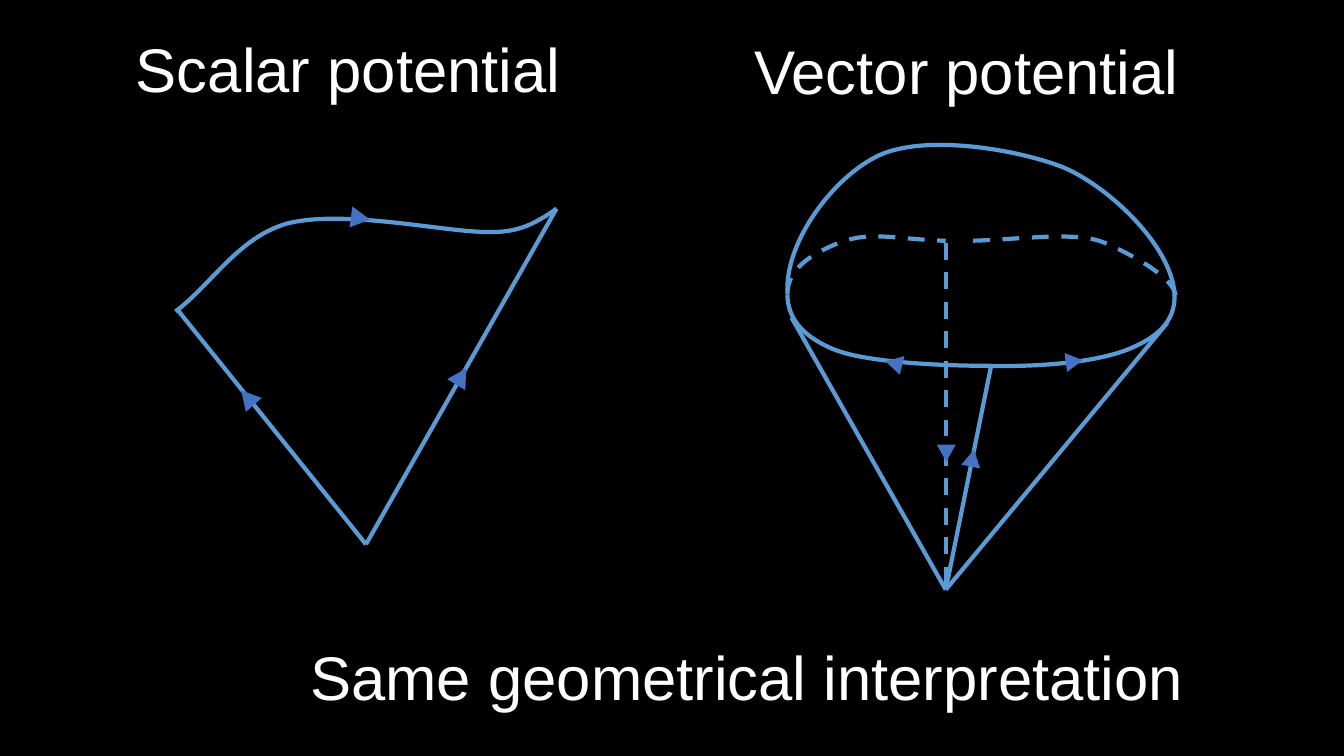
from dataclasses import dataclass

from lxml import etree
from pptx import Presentation
from pptx import util as u
from pptx.dml.color import RGBColor
from pptx.enum import dml, shapes, text
from pptx.oxml import ns
from pptx.shapes.group import GroupShape
from pptx.slide import Slide

BLACK = RGBColor(0x00, 0x00, 0x00)
WHITE = RGBColor(0xFF, 0xFF, 0xFF)
SKY = RGBColor(0x5B, 0x9B, 0xD5)
BLUE = RGBColor(0x44, 0x72, 0xC4)

Point = tuple[float, float]
Box = tuple[float, float, float, float]


@dataclass(frozen=True)
class Edge:
    start: Point
    end: Point
    dashed: bool = False


@dataclass(frozen=True)
class Curve:
    box: Box
    points: tuple[Point, ...]
    dashed: bool = False


@dataclass(frozen=True)
class Arrow:
    box: Box
    rotation: float


@dataclass(frozen=True)
class Label:
    box: Box
    words: str


Part = Edge | Curve | Arrow

SCALAR_BASE = (3.63, 5.4)
SCALAR_PARTS: tuple[Part, ...] = (
    Edge((1.75, 3.06), SCALAR_BASE),
    Edge(SCALAR_BASE, (5.52, 2.07)),
    Arrow((4.47, 3.64, 0.21, 0.19), 31.3),
    Arrow((2.35, 3.85, 0.21, 0.19), 319),
    Curve((1.74, 2.07, 3.78, 1.01),
          ((1.74, 3.09), (2.09, 2.83), (2.36, 2.36), (2.84, 2.22),
           (3.32, 2.09), (4.17, 2.25), (4.62, 2.29),
           (5.06, 2.33), (5.22, 2.28), (5.52, 2.07))),
    Arrow((3.47, 2.07, 0.21, 0.19), 97.8),
)

APEX = (9.38, 5.85)
RIM_FRONT = (9.83, 3.63)
VECTOR_PARTS: tuple[Part, ...] = (
    Curve((7.81, 2.92, 2.02, 0.71),
          ((7.81, 2.92), (7.81, 3.17), (7.98, 3.35), (8.28, 3.47),
           (8.58, 3.59), (9.29, 3.63), RIM_FRONT)),
    Curve((9.83, 2.92, 1.83, 0.71),
          ((11.65, 2.92), (11.66, 3.19), (11.48, 3.35), (11.18, 3.47),
           (10.87, 3.59), (10.35, 3.64), RIM_FRONT)),
    Curve((7.81, 2.35, 1.58, 0.57),
          ((7.81, 2.92), (7.81, 2.68), (8.02, 2.53), (8.32, 2.41),
           (8.63, 2.29), (8.85, 2.37), (9.38, 2.39)), dashed=True),
    Curve((9.53, 2.35, 2.13, 0.58),
          ((11.66, 2.93), (11.64, 2.76), (11.26, 2.54), (10.96, 2.41),
           (10.66, 2.28), (10.05, 2.39), (9.53, 2.39)), dashed=True),
    Edge((7.85, 3.15), APEX),
    Edge((11.58, 3.2), APEX),
    Edge(RIM_FRONT, APEX),
    Edge((9.38, 2.41), APEX, dashed=True),
    Curve((7.81, 1.44, 3.85, 1.49),
          ((7.81, 2.89), (7.79, 2.39), (8.27, 1.75), (8.72, 1.54),
           (9.18, 1.33), (10.07, 1.48), (10.52, 1.65),
           (10.96, 1.82), (11.63, 2.43), (11.65, 2.93))),
    Arrow((10.56, 3.5, 0.19, 0.17), 82.3),
    Arrow((8.77, 3.52, 0.19, 0.17), 284),
    Arrow((9.55, 4.46, 0.19, 0.17), 11.4),
    Arrow((9.29, 4.41, 0.19, 0.17), 180),
)

LABELS = (
    Label((1.25, 0.26, 4.54, 0.84), "Scalar potential"),
    Label((7.38, 0.28, 4.69, 0.84), "Vector potential"),
    Label((2.98, 6.29, 9.23, 0.84), "Same geometrical interpretation"),
)


def style_line(line, dashed: bool) -> None:
    line.color.rgb = SKY
    line.width = u.Pt(3)
    if dashed:
        line.dash_style = dml.MSO_LINE.DASH


def draw_edge(group: GroupShape, edge: Edge) -> None:
    ends = [u.Inches(v) for v in edge.start + edge.end]
    s = group.shapes.add_connector(shapes.MSO_CONNECTOR.STRAIGHT, *ends)
    style_line(s.line, edge.dashed)
    etree.SubElement(s.element.spPr, ns.qn("a:effectLst"))


def draw_curve(group: GroupShape, curve: Curve) -> None:
    left, top, width, height = (u.Inches(v) for v in curve.box)
    builder = group.shapes.build_freeform(left, top)
    builder.add_line_segments([(left + width, top + height)], close=False)
    s = builder.convert_to_shape()
    outline = s.element.find(".//" + ns.qn("a:path"))
    for step in list(outline):
        outline.remove(step)
    step = etree.SubElement(outline, ns.qn("a:moveTo"))
    for i, (x, y) in enumerate(curve.points):
        if i % 3 == 1:
            step = etree.SubElement(outline, ns.qn("a:cubicBezTo"))
        pt = etree.SubElement(step, ns.qn("a:pt"))
        pt.set("x", str(u.Inches(x) - left))
        pt.set("y", str(u.Inches(y) - top))
    s.fill.background()
    style_line(s.line, curve.dashed)
    s.shadow.inherit = False


def draw_arrow(group: GroupShape, arrow: Arrow) -> None:
    box = [u.Inches(v) for v in arrow.box]
    s = group.shapes.add_shape(shapes.MSO_SHAPE.ISOSCELES_TRIANGLE, *box)
    s.rotation = arrow.rotation
    s.fill.solid()
    s.fill.fore_color.rgb = BLUE
    s.line.fill.background()
    s.shadow.inherit = False


def draw_figure(slide: Slide, parts: tuple[Part, ...]) -> None:
    group = slide.shapes.add_group_shape()
    drawers = {Edge: draw_edge, Curve: draw_curve, Arrow: draw_arrow}
    for part in parts:
        drawers[type(part)](group, part)


def draw_label(slide: Slide, label: Label) -> None:
    s = slide.shapes.add_textbox(*(u.Inches(v) for v in label.box))
    tf = s.text_frame
    tf.word_wrap = False
    tf.auto_size = text.MSO_AUTO_SIZE.SHAPE_TO_FIT_TEXT
    p = tf.paragraphs[0]
    r = p.add_run()
    r.text = label.words
    r.font.name = "Arial"
    r.font.size = u.Pt(44)
    r.font.color.rgb = WHITE


def main() -> None:
    prs = Presentation()
    prs.slide_width = u.Inches(13.33)
    prs.slide_height = u.Inches(7.5)
    slide = prs.slides.add_slide(prs.slide_layouts[6])
    slide.background.fill.solid()
    slide.background.fill.fore_color.rgb = BLACK
    for parts in (SCALAR_PARTS, VECTOR_PARTS):
        draw_figure(slide, parts)
    for label in LABELS:
        draw_label(slide, label)
    prs.save("out.pptx")


if __name__ == "__main__":
    main()
